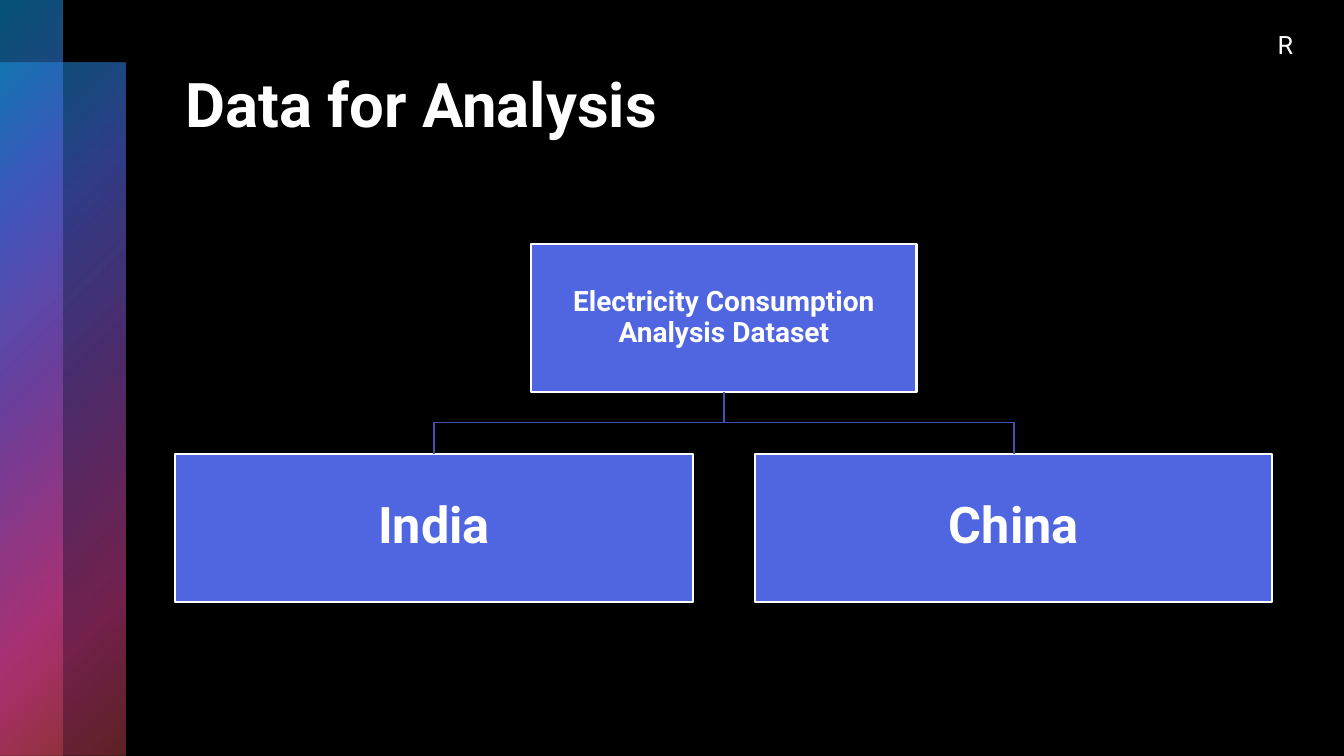
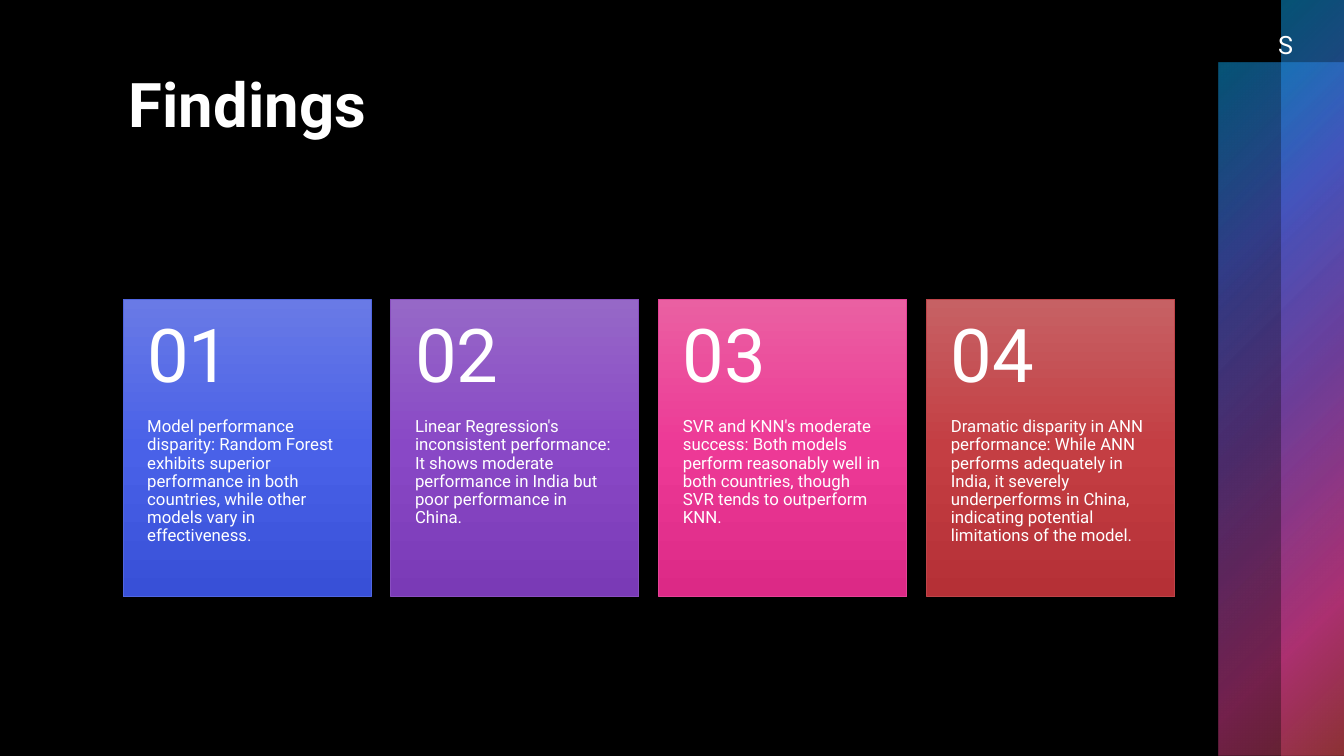
from pptx import Presentation
from pptx.dml.color import RGBColor
from pptx.enum.shapes import MSO_SHAPE
from pptx.enum.text import MSO_ANCHOR, PP_ALIGN
from pptx.oxml import parse_xml
from pptx.oxml.ns import nsdecls, qn
from pptx.util import Inches, Pt

RECT = MSO_SHAPE.RECTANGLE
LEFT, CENTER = PP_ALIGN.LEFT, PP_ALIGN.CENTER
TOP, MIDDLE = MSO_ANCHOR.TOP, MSO_ANCHOR.MIDDLE

FONT = "Roboto"
WIDE, HIGH = 13.33, 7.5
INK = {
    "black": "000000", "white": "FFFFFF", "link": "4052B4",
    "cyan": "0BA5E8", "blue": "5066E1", "purple": "894EC0",
    "pink": "E54196", "red": "BE4449",
}
# Position, colour and opacity, all in percent
GLOW = [(0, INK["cyan"], 50), (25, INK["blue"], 60), (50, INK["purple"], 55),
        (81, INK["pink"], 50), (99, INK["red"], 50)]
RADIAL = ('<a:path path="circle">'
          '<a:fillToRect r="100000" b="100000"/></a:path>')
DOWN = '<a:lin ang="5400000" scaled="0"/>'


def put(slide, area, text="", rect=False, fill=None, line=None, weight=1,
        size=18, bold=False, align=LEFT, anchor=TOP,
        inset=(0.1, 0.05, 0.1, 0.05), spacing=1.0):
    """Add a text box, or a rectangle if rect is set, and format its text."""
    area = [Inches(v) for v in area]
    if rect:
        box = slide.shapes.add_shape(RECT, *area)
        box.shadow.inherit = False
        if fill:
            box.fill.solid()
            box.fill.fore_color.rgb = RGBColor.from_string(fill)
        if line:
            box.line.color.rgb = RGBColor.from_string(line)
            box.line.width = Pt(weight)
        else:
            box.line.fill.background()
    else:
        box = slide.shapes.add_textbox(*area)
    if text:
        frame = box.text_frame
        frame.word_wrap = True
        frame.vertical_anchor = anchor
        (frame.margin_left, frame.margin_top,
         frame.margin_right, frame.margin_bottom) = [Inches(v) for v in inset]
        para = frame.paragraphs[0]
        para.alignment = align
        para.line_spacing = spacing
        run = para.add_run()
        run.text = text
        run.font.name = FONT
        run.font.size = Pt(size)
        run.font.bold = bold
        run.font.color.rgb = RGBColor.from_string(INK["white"])
    return box


def shade(box, stops, way):
    """Fill a shape with a gradient of (position, colour, opacity) stops."""
    marks = "".join(
        f'<a:gs pos="{pos * 1000}"><a:srgbClr val="{tone}">'
        f'<a:alpha val="{alpha * 1000}"/></a:srgbClr></a:gs>'
        for pos, tone, alpha in stops)
    box.fill.background()
    props = box._element.spPr
    props.replace(props.find(qn("a:noFill")), parse_xml(
        f'<a:gradFill {nsdecls("a")} rotWithShape="1">'
        f'<a:gsLst>{marks}</a:gsLst>{way}</a:gradFill>'))


deck = Presentation()
deck.slide_width, deck.slide_height = Inches(WIDE), Inches(HIGH)

# Shared frame: background, bands, title and corner letter
pages = []
for title, left, right_side, mark in [("Data for Analysis", 1.74, False, "R"),
                                      ("Findings", 1.18, True, "S")]:
    page = deck.slides.add_slide(deck.slide_layouts[6])
    page.background.fill.solid()
    page.background.fill.fore_color.rgb = RGBColor.from_string(INK["black"])
    for top, width in [(0.62, 1.24), (0, 0.62)]:
        x = WIDE - width if right_side else 0
        band = put(page, (x, top, width, HIGH - top), rect=True)
        shade(band, GLOW, RADIAL)
    put(page, (left, 0.61, 10.37, 1.7), title, size=44, bold=True)
    put(page, (11.86, 0.24, 1.78, 0.4), mark, align=CENTER)
    pages.append(page)
data, finds = pages

# Data tree
BAR, TALL = 4.19, 1.47
nodes = []
for text, left, top, width, size in [
        ("Electricity Consumption Analysis Dataset", 5.27, 2.42, 3.82, 20),
        ("India", 1.74, 4.5, 5.13, 36),
        ("China", 7.49, 4.5, 5.13, 36)]:
    nodes.append(put(
        data, (left, top, width, TALL), text, rect=True,
        fill=INK["blue"], line=INK["white"], weight=1.5, size=size, bold=True,
        align=CENTER, anchor=MIDDLE, inset=(0.03,) * 4, spacing=0.9))

root, *kids = nodes
mid, bar = root.left + root.width // 2, Inches(BAR)
for kid in kids:
    end = kid.left + kid.width // 2
    bend = data.shapes.build_freeform(mid, root.top + root.height)
    bend.add_line_segments([(mid, bar), (end, bar), (end, kid.top)],
                           close=False)
    link = bend.convert_to_shape()
    link.shadow.inherit = False
    link.fill.background()
    link.line.color.rgb = RGBColor.from_string(INK["link"])
    link.line.width = Pt(1)

# Finding cards
cards = [
    ("blue", ("697AE6", "4961E8", "3850D7"),
     "Model performance disparity: Random Forest exhibits superior "
     "performance in both countries, while other models vary in "
     "effectiveness."),
    ("purple", ("9668C7", "8948C6", "7A3AB6"),
     "Linear Regression's inconsistent performance: It shows moderate "
     "performance in India but poor performance in China."),
    ("pink", ("EA60A2", "ED3996", "DC2986"),
     "SVR and KNN's moderate success: Both models perform reasonably well in "
     "both countries, though SVR tends to outperform KNN."),
    ("red", ("C66164", "C43E43", "B53036"),
     "Dramatic disparity in ANN performance: While ANN performs adequately in "
     "India, it severely underperforms in China, indicating potential "
     "limitations of the model."),
]
FIRST, LAST = 1.22, 9.19
STEP = (LAST - FIRST) / (len(cards) - 1)
Y, W, H, HEAD = 2.97, 2.46, 2.95, 1.18
for i, (edge, tones, text) in enumerate(cards):
    x = FIRST + i * STEP
    card = put(finds, (x, Y, W, H), text, rect=True, line=INK[edge],
               weight=0.5, size=12, inset=(0.24, HEAD, 0.24, 0.36),
               spacing=0.9)
    shade(card, [(p, t, 100) for p, t in zip((0, 50, 100), tones)], DOWN)
    put(finds, (x, Y, W, HEAD), f"{i + 1:02}", size=53, anchor=MIDDLE,
        inset=(0.24, 0.18, 0.24, 0.18), spacing=0.9)

deck.save("out.pptx")
